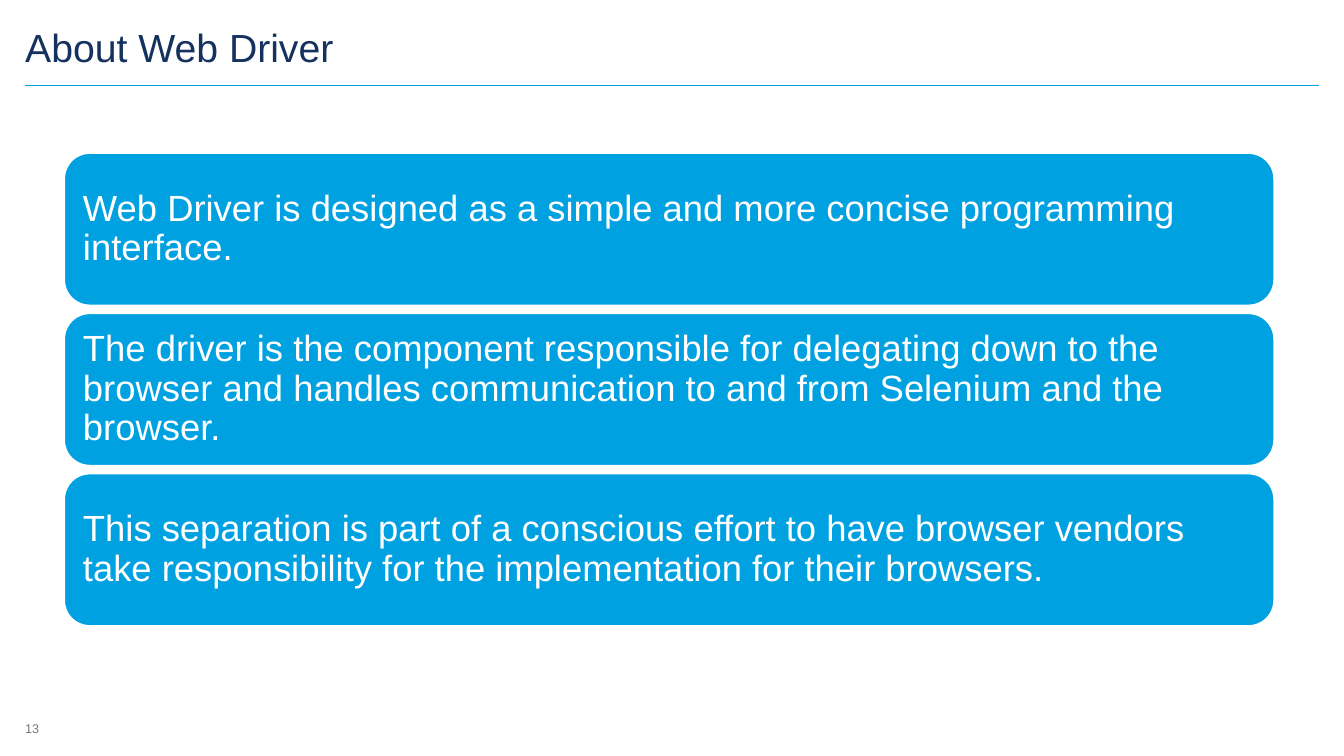
from dataclasses import dataclass

from lxml.etree import SubElement
from pptx import Presentation
from pptx.dml.color import RGBColor
from pptx.enum.shapes import MSO_CONNECTOR, MSO_SHAPE
from pptx.enum.text import MSO_ANCHOR, MSO_AUTO_SIZE, PP_ALIGN
from pptx.oxml.ns import qn
from pptx.slide import Slide
from pptx.text.text import TextFrame
from pptx.util import Pt

HUES = {"sky": "00A1E0", "navy": "15325F", "gray": "757779", "white": "FFFFFF"}
FACE = "Arial"
EDGE = 18
TOP = 109.44
STEP = 114.48


@dataclass
class Style:
    size: float
    hue: str
    inset: float = 0
    anchor: MSO_ANCHOR = MSO_ANCHOR.MIDDLE
    lead: float = 1.0


@dataclass
class Card:
    text: str
    top: float
    left: float = 46
    width: float = 864
    height: float = 108.6


HEAD = Style(28, "navy", anchor=MSO_ANCHOR.BOTTOM, lead=0.9)
BODY = Style(26, "white", inset=8, lead=0.9)
FOOT = Style(9, "gray")

POINTS = [
    "Web Driver is designed as a simple and more concise programming interface.",
    "The driver is the component responsible for delegating down to the browser "
    "and handles communication to and from Selenium and the browser.",
    "This separation is part of a conscious effort to have browser vendors take "
    "responsibility for the implementation for their browsers.",
]


def color(name: str) -> RGBColor:
    return RGBColor.from_string(HUES[name])


def write(frame: TextFrame, text: str, style: Style) -> None:
    frame.text = text
    frame.word_wrap = True
    frame.auto_size = MSO_AUTO_SIZE.NONE
    frame.vertical_anchor = style.anchor
    frame.margin_left = frame.margin_right = Pt(style.inset)
    frame.margin_top = frame.margin_bottom = Pt(style.inset)
    line = frame.paragraphs[0]
    line.alignment = PP_ALIGN.LEFT
    line.line_spacing = style.lead
    line.font.name = FACE
    line.font.size = Pt(style.size)
    line.font.color.rgb = color(style.hue)


def add_head(slide: Slide, text: str) -> None:
    title = slide.shapes.title
    title.left, title.top = Pt(EDGE), Pt(15)
    title.width, title.height = Pt(925), Pt(36)
    write(title.text_frame, text, HEAD)


def add_rule(slide: Slide) -> None:
    rule = slide.shapes.add_connector(
        MSO_CONNECTOR.STRAIGHT, Pt(EDGE), Pt(61.3), Pt(942), Pt(61.3)
    )
    rule.line.color.rgb = color("sky")
    rule.line.width = Pt(1)
    SubElement(rule._element.spPr, qn("a:effectLst"))


def add_card(slide: Slide, card: Card) -> None:
    shape = slide.shapes.add_shape(
        MSO_SHAPE.ROUNDED_RECTANGLE,
        Pt(card.left), Pt(card.top), Pt(card.width), Pt(card.height),
    )
    shape.shadow.inherit = False
    shape.fill.solid()
    shape.fill.fore_color.rgb = color("sky")
    shape.line.color.rgb = color("white")
    shape.line.width = Pt(1)
    write(shape.text_frame, card.text, BODY)


def add_foot(slide: Slide, text: str) -> None:
    box = slide.shapes.add_textbox(Pt(EDGE), Pt(514), Pt(216), Pt(13))
    write(box.text_frame, text, FOOT)


def main() -> None:
    deck = Presentation()
    deck.slide_width, deck.slide_height = Pt(960), Pt(540)
    slide = deck.slides.add_slide(deck.slide_layouts[5])
    add_rule(slide)
    add_head(slide, "About Web Driver")
    add_foot(slide, "13")
    for row, text in enumerate(POINTS):
        add_card(slide, Card(text, TOP + row * STEP))
    deck.save("out.pptx")


if __name__ == "__main__":
    main()
